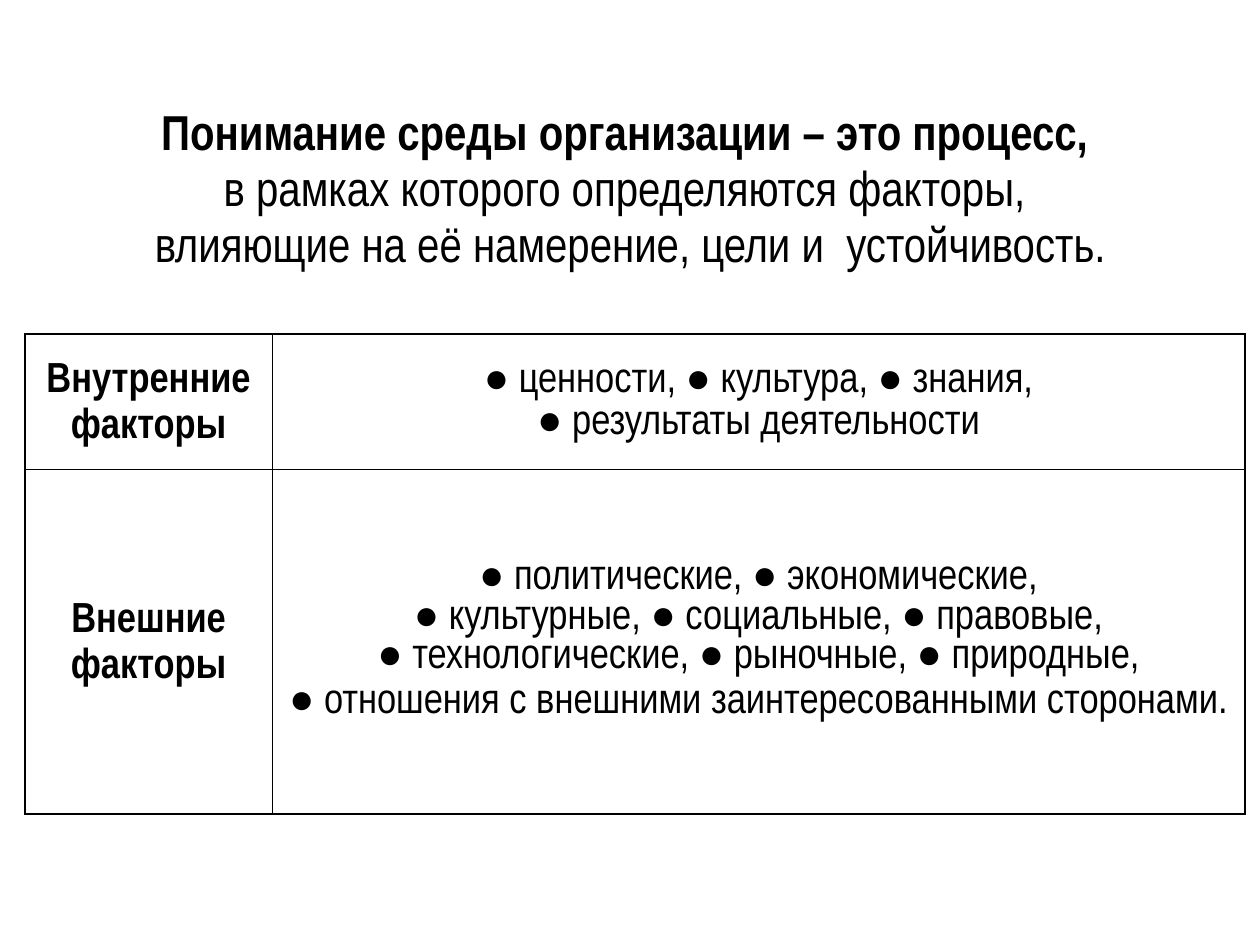
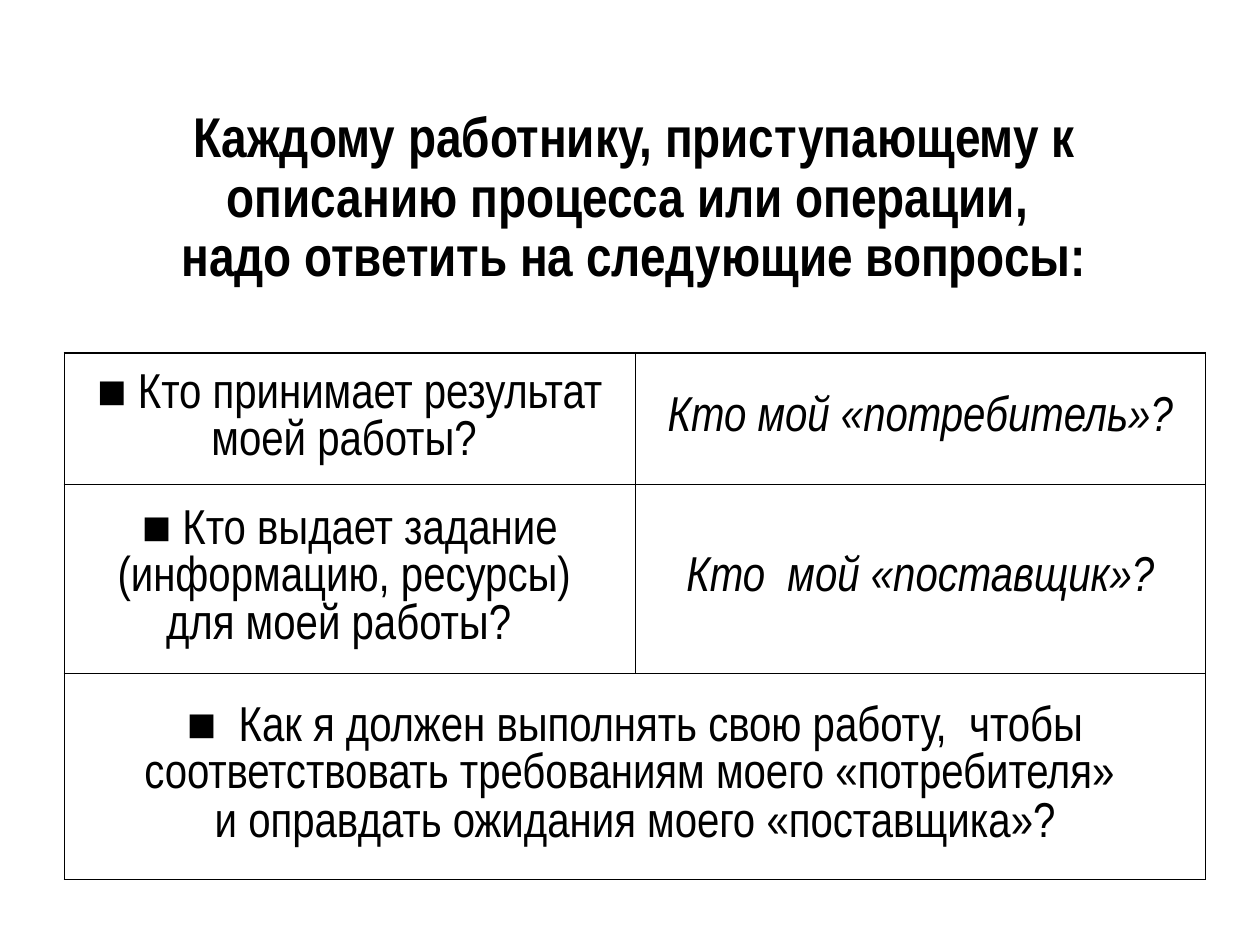
import pptx
import pptx.util
import pptx.dml.color
import pptx.enum.text
import lxml.etree

Pt = pptx.util.Pt
BLACK = pptx.dml.color.RGBColor(0, 0, 0)
WHITE = pptx.dml.color.RGBColor(255, 255, 255)
FONT = "Arial Narrow"
THICK, THIN = 1.08, 0.45
MID = pptx.enum.text.MSO_ANCHOR.MIDDLE
CENTER = pptx.enum.text.PP_ALIGN.CENTER
NS = "http://schemas.openxmlformats.org/drawingml/2006/main"


def style(frame, size, pitch, bold=False, italic=False):
    """Centre the text of a frame and set its font and line pitch."""
    for par in frame.paragraphs:
        par.alignment = CENTER
        if pitch:
            par.line_spacing = Pt(pitch)
        for run in par.runs:
            font = run.font
            font.name, font.size = FONT, Pt(size)
            font.bold, font.italic = bold, italic
            font.color.rgb = BLACK


def border(cell, side, width):
    """Draw one black side of a table cell."""
    line = lxml.etree.SubElement(cell._tc.get_or_add_tcPr(), f"{{{NS}}}ln{side}",
                                 w=str(Pt(width)))
    fill = lxml.etree.SubElement(line, f"{{{NS}}}solidFill")
    lxml.etree.SubElement(fill, f"{{{NS}}}srgbClr", val=str(BLACK))


# Each cell: text, size, line pitch (None is single), bold, italic
factors = [
    [("Внутренние\nфакторы", 24, 26, True, False),
     ("● ценности, ● культура, ● знания,\n● результаты деятельности",
      24, 24, False, False)],
    [("Внешние факторы", 24, 26, True, False),
     ("● политические, ● экономические,\n"
      "● культурные, ● социальные, ● правовые,\n"
      "● технологические, ● рыночные, ● природные,\n"
      "● отношения с внешними заинтересованными сторонами.",
      24, None, False, False)],
]
asks = [
    [("■ Кто принимает результат моей работы? ", 28, 27, False, False),
     ("Кто мой «потребитель»?", 28, 27, False, True)],
    [("■ Кто выдает задание (информацию, ресурсы) \nдля моей работы?  ",
      28, 27, False, False),
     ("Кто  мой «поставщик»?", 28, 27, False, True)],
    [("■  Как я должен выполнять свою работу,  чтобы соответствовать "
      "требованиям моего «потребителя» \n"
      "и оправдать ожидания моего «поставщика»?", 28, 27, False, False)],
]

# Each slide: title, its box, size and pitch, table corner, columns, rows, cells
pages = [
    ("Понимание среды организации – это процесс, \v"
     "в рамках которого определяются факторы, \v"
     "влияющие на её намерение, цели и  устойчивость.",
     (36, 42, 648, 131.5), 28, 32, (14.4, 191), (141, 556), (77, 197), factors),
    ("Каждому работнику, приступающему к описанию процесса или операции, \v"
     "надо ответить на следующие вопросы:",
     (36, 42, 653, 143), 32, 34, (36.8, 201.6), (326, 326), (75, 108, 118), asks),
]

deck = pptx.Presentation()
deck.slide_width, deck.slide_height = Pt(720), Pt(540)
tables = []

for text, box, size, pitch, spot, cols, rows, cells in pages:
    slide = deck.slides.add_slide(deck.slide_layouts[5])
    slide.background.fill.solid()
    slide.background.fill.fore_color.rgb = WHITE

    # Title
    title = slide.shapes.title
    title.left, title.top, title.width, title.height = map(Pt, box)
    frame = title.text_frame
    frame.text = text
    frame.auto_size = pptx.enum.text.MSO_AUTO_SIZE.NONE
    frame.vertical_anchor = MID
    style(frame, size, pitch, bold=True)

    # Table grid
    table = slide.shapes.add_table(len(rows), len(cols), *map(Pt, spot),
                                   Pt(sum(cols)), Pt(sum(rows))).table
    table.first_row = table.horz_banding = False
    tables.append(table)
    for col, width in zip(table.columns, cols):
        col.width = Pt(width)
    for row, height in zip(table.rows, rows):
        row.height = Pt(height)

    # Cell text; a row with a single entry spans the table
    for r, line in enumerate(cells):
        if len(line) < len(cols):
            table.cell(r, 0).merge(table.cell(r, len(cols) - 1))
        for c, (words, *look) in enumerate(line):
            cell = table.cell(r, c)
            cell.text_frame.text = words
            style(cell.text_frame, *look)

    # Cell borders: thick outside, thin inside
    for r in range(len(rows)):
        for c in range(len(cols)):
            cell = table.cell(r, c)
            cell.vertical_anchor = MID
            cell.margin_left = cell.margin_right = Pt(7.2)
            cell.margin_top = cell.margin_bottom = Pt(3.6)
            end = c + cell.span_width == len(cols)
            for side, outer in (("L", c == 0), ("R", end), ("T", r == 0),
                                ("B", r == len(rows) - 1)):
                if not (cell.is_spanned and side == "L"):
                    border(cell, side, THICK if outer else THIN)
            cell.fill.background()

# Exceptions: plain title lines, a larger closing space, a looser last line
for run in deck.slides[0].shapes.title.text_frame.paragraphs[0].runs[1:]:
    run.font.bold = False
space = tables[0].cell(1, 1).text_frame.paragraphs[-1].add_run()
space.text = " "
space.font.name, space.font.size = FONT, Pt(28)
tables[1].cell(2, 0).text_frame.paragraphs[-1].line_spacing = Pt(28)

deck.save("out.pptx")
